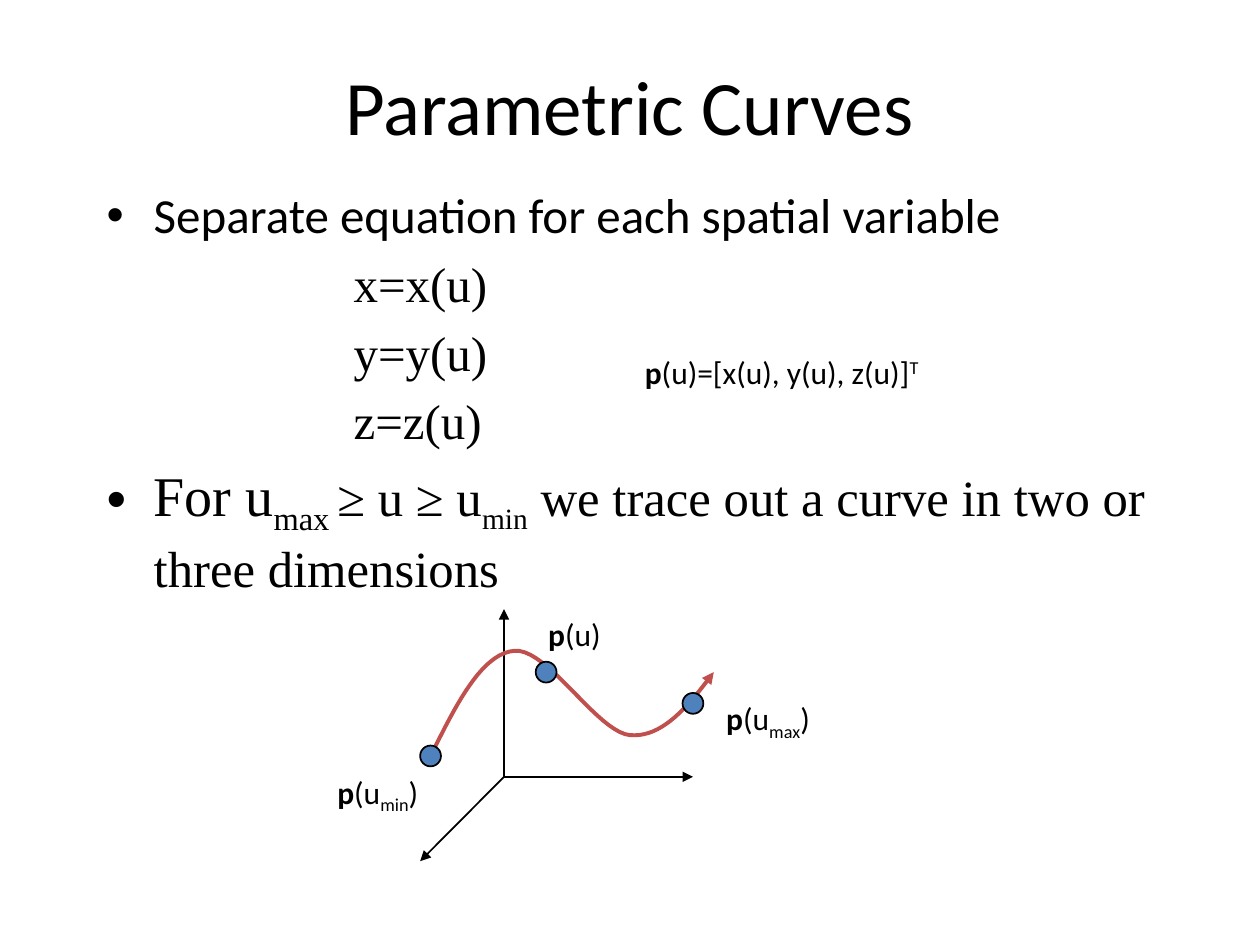
from lxml import etree
from pptx import Presentation, util as u
from pptx.dml.color import RGBColor
from pptx.enum import shapes, text
from pptx.oxml.ns import qn

BLACK = RGBColor(0x00, 0x00, 0x00)
BLUE = RGBColor(0x4F, 0x81, 0xBD)
RED = RGBColor(0xC0, 0x50, 0x4D)
SANS, SERIF = "Calibri", "Times New Roman"
SUB, SUPER = -25000, 30000


def write(para, spans):
    """Add spans given as (text, format values, baseline shift)."""
    for words, style, shift in spans:
        span = para.add_run()
        span.text = words
        span.font.color.rgb = BLACK
        for name, value in style.items():
            setattr(span.font, name, value)
        if shift:
            span._r.get_or_add_rPr().set("baseline", str(shift))


def style_line(shape, colour, width, arrow):
    shape.line.color.rgb = colour
    shape.line.width = u.Pt(width)
    if arrow:
        etree.SubElement(shape.line._get_or_add_ln(), qn("a:tailEnd"), type="triangle")


deck = Presentation()
deck.slide_width, deck.slide_height = u.Cm(25.4), u.Cm(19.05)
page = deck.slides.add_slide(deck.slide_layouts[6])

# Title
box = page.shapes.add_textbox(u.Cm(1.9), u.Cm(1.06), u.Cm(21.59), u.Cm(2.12))
box.text_frame.word_wrap = True
box.text_frame.vertical_anchor = text.MSO_ANCHOR.MIDDLE
para = box.text_frame.paragraphs[0]
para.alignment = text.PP_ALIGN.CENTER
write(para, [("Parametric Curves", {"name": SANS, "size": u.Pt(44)}, 0)])

# Body: bulleted statements with indented equations between them
lead = {"name": SANS, "size": u.Pt(28)}
equation = {"name": SERIF, "size": u.Pt(28)}
large = {"name": SERIF, "size": u.Pt(32)}
medium = {"name": SERIF, "size": u.Pt(29)}
body = [
    (True, [("Separate equation for each spatial variable", lead, 0)]),
    *[(False, [(f"{axis}={axis}(u)", equation, 0)]) for axis in "xyz"],
    (True, [("For u", large, 0), ("max ", large, SUB), ("≥ u ≥ u", medium, 0),
            ("min", medium, SUB),
            (" we trace out a curve in two or three dimensions", medium, 0)]),
]
box = page.shapes.add_textbox(u.Cm(1.9), u.Cm(3.6), u.Cm(21.59), u.Cm(12.7))
frame = box.text_frame
frame.word_wrap = True
for index, (bulleted, spans) in enumerate(body):
    para = frame.add_paragraph() if index else frame.paragraphs[0]
    props = para._p.get_or_add_pPr()
    if index:
        before = etree.SubElement(props, qn("a:spcBef"))
        etree.SubElement(before, qn("a:spcPct"), val="20000")
    props.set("marL", str(u.Cm(0.95 if bulleted else 4.98)))
    if bulleted:
        props.set("indent", str(-u.Cm(0.95)))
        etree.SubElement(props, qn("a:buFont"), typeface="Arial")
        etree.SubElement(props, qn("a:buChar"), char="•")
    write(para, spans)

# Coordinate axes
origin = u.Cm(10.16), u.Cm(15.66)
for x, y in [(10.16, 12.28), (13.97, 15.66), (8.47, 17.36)]:
    axis = page.shapes.add_connector(
        shapes.MSO_CONNECTOR.STRAIGHT, *origin, u.Cm(x), u.Cm(y))
    style_line(axis, BLACK, 1, True)
    etree.SubElement(axis._element.spPr, qn("a:effectLst"))

# Curve: three cubic Bezier pieces, each sampled evenly
knots = [(8.68, 15.24), (9.19, 14.22), (9.7, 13.18), (10.37, 13.12),
         (11.04, 13.06), (12.04, 14.76), (12.7, 14.82),
         (13.36, 14.88), (13.89, 14.22), (14.39, 13.55)]
STEPS = 20
points = []
for start in range(0, len(knots) - 1, 3):
    for step in range(1, STEPS + 1):
        t = step / STEPS
        weights = (1 - t) ** 3, 3 * t * (1 - t) ** 2, 3 * t * t * (1 - t), t ** 3
        points.append(tuple(
            u.Cm(sum(w * knot[side] for w, knot in zip(weights, knots[start:start + 4])))
            for side in (0, 1)))
builder = page.shapes.build_freeform(u.Cm(knots[0][0]), u.Cm(knots[0][1]))
builder.add_line_segments(points, close=False)
curve = builder.convert_to_shape()
curve.shadow.inherit = False
curve.fill.background()
style_line(curve, RED, 2.25, True)

# Points on the curve
for x, y in [(8.47, 15.03), (13.76, 13.97), (10.8, 13.34)]:
    dot = page.shapes.add_shape(
        shapes.MSO_SHAPE.OVAL, u.Cm(x), u.Cm(y), u.Cm(0.42), u.Cm(0.42))
    dot.shadow.inherit = False
    dot.fill.solid()
    dot.fill.fore_color.rgb = BLUE
    style_line(dot, BLACK, 1, False)

# Labels, each opening with a bold p
plain = {"name": SANS, "size": u.Pt(18), "bold": False}
labels = [
    (12.75, 6.99, 8.38, [("(u)=[x(u), y(u), z(u)]", 0), ("T", SUPER)]),
    (10.8, 12.28, 1.98, [("(u)", 0)]),
    (6.55, 15.45, 2.84, [("(u", 0), ("min", SUB), (")", 0)]),
    (14.39, 13.97, 2.95, [("(u", 0), ("max", SUB), (")", 0)]),
]
for x, y, width, parts in labels:
    box = page.shapes.add_textbox(u.Cm(x), u.Cm(y), u.Cm(width), u.Cm(1.27))
    box.text_frame.word_wrap = True
    write(box.text_frame.paragraphs[0],
          [("p", {**plain, "bold": True}, 0)]
          + [(words, plain, shift) for words, shift in parts])

deck.save("out.pptx")
